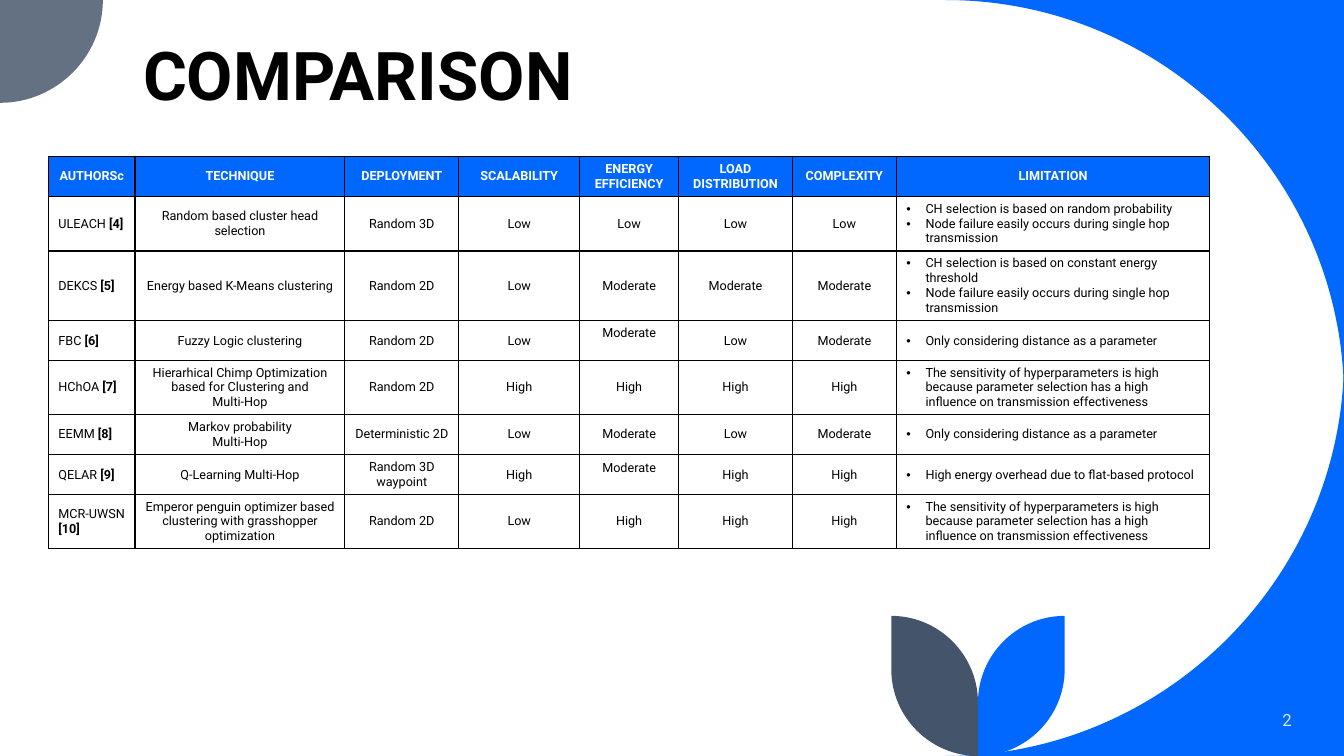
from lxml.etree import SubElement
from pptx import Presentation
from pptx.dml.color import RGBColor
from pptx.enum.text import MSO_ANCHOR, PP_ALIGN
from pptx.oxml.ns import qn
from pptx.util import Inches, Pt

BLUE = RGBColor(0x00, 0x68, 0xFF)
SLATE = RGBColor(0x63, 0x71, 0x83)
NAVY = RGBColor(0x44, 0x54, 0x6A)
PALE = RGBColor(0xDA, 0xE5, 0xEF)
WHITE = RGBColor(0xFF, 0xFF, 0xFF)
BLACK = RGBColor(0x00, 0x00, 0x00)
FONT = "Roboto"
WIDTH, HEIGHT = 13.33, 7.5

COLS = [0.86, 2.08, 1.13, 1.2, 0.98, 1.13, 1.03, 3.11]
ROWS = [0.4, 0.54, 0.69, 0.4, 0.53, 0.4, 0.4, 0.53]
HEADS = ["AUTHORSc", "TECHNIQUE", "DEPLOYMENT", "SCALABILITY",
         "ENERGY\nEFFICIENCY", "LOAD\nDISTRIBUTION", "COMPLEXITY", "LIMITATION"]
HOP = "Node failure easily occurs during single hop transmission"
DISTANCE = "Only considering distance as a parameter"
TUNING = ("The sensitivity of hyperparameters is high because parameter selection "
          "has a high influence on transmission effectiveness")
LOW, MID, HIGH = "Low", "Moderate", "High"
METHODS = [
    ["ULEACH [4]", "Random based cluster head selection", "Random 3D",
     LOW, LOW, LOW, LOW,
     "CH selection is based on random probability\n" + HOP],
    ["DEKCS [5]", "Energy based K-Means clustering", "Random 2D",
     LOW, MID, MID, MID,
     "CH selection is based on constant energy threshold\n" + HOP],
    ["FBC [6]", "Fuzzy Logic clustering", "Random 2D",
     LOW, MID, LOW, MID, DISTANCE],
    ["HChOA [7]", "Hierarhical Chimp Optimization based for Clustering and\nMulti-Hop",
     "Random 2D", HIGH, HIGH, HIGH, HIGH, TUNING],
    ["EEMM [8]", "Markov probability\nMulti-Hop", "Deterministic 2D",
     LOW, MID, LOW, MID, DISTANCE],
    ["QELAR [9]", "Q-Learning Multi-Hop", "Random 3D waypoint",
     HIGH, MID, HIGH, HIGH, "High energy overhead due to flat-based protocol"],
    ["MCR-UWSN [10]",
     "Emperor penguin optimizer based clustering with grasshopper optimization",
     "Random 2D", LOW, HIGH, HIGH, HIGH, TUNING],
]
RAISED = {(3, 4), (6, 4)}  # cells whose text sits half a line higher


def bend(start, corner, end):
    """Two handles and the end of a quarter circle that rounds a corner."""
    handles = [tuple(a + 0.55 * (b - a) for a, b in zip(spot, corner))
               for spot in (start, end)]
    return handles + [end]


def add_curve(slide, start, parts, color):
    """Draw an outline; a part of one point is a line, of three a curve."""
    spots = [tuple(map(Inches, spot)) for part in parts for spot in part]
    pen = slide.shapes.build_freeform(*map(Inches, start))
    pen.add_line_segments(spots, close=True)
    shape = pen.convert_to_shape()
    shape.shadow.inherit = False
    shape.fill.solid()
    shape.fill.fore_color.rgb = color
    shape.line.fill.background()

    # Turn each group of three points into one curve
    lines = iter(list(shape._element.iter(qn("a:lnTo"))))
    for part in parts:
        group = [next(lines) for _ in part]
        if len(group) == 3:
            curve = group[0].makeelement(qn("a:cubicBezTo"))
            group[0].addprevious(curve)
            for line in group:
                curve.append(line[0])
                line.getparent().remove(line)


def add_leaf(slide, side, color):
    """A leaf standing on the stem; side is -1 for left and 1 for right."""
    stem = 9.7
    edge = stem + side * 0.86
    tip, hip = (edge, 6.11), (stem, 6.97)
    foot, rim = (stem, HEIGHT), (edge, 6.64)
    add_curve(slide, tip, [bend(tip, (stem, 6.11), hip), [foot],
                           bend(foot, (edge, HEIGHT), rim)], color)


def style(run, size, color, bold=False):
    run.font.name = FONT
    run.font.size = Pt(size)
    run.font.bold = bold
    run.font.color.rgb = color


def add_label(slide, text, box, size, color, bold, align, anchor):
    frame = slide.shapes.add_textbox(*map(Inches, box)).text_frame
    frame.word_wrap = True
    frame.vertical_anchor = anchor
    frame.text = text
    line = frame.paragraphs[0]
    line.alignment = align
    line.line_spacing = 0.9
    style(line.runs[0], size, color, bold)


def add_edges(cell):
    props = cell._tc.get_or_add_tcPr()
    for n, tag in enumerate(("a:lnL", "a:lnR", "a:lnT", "a:lnB")):
        edge = props.makeelement(qn(tag), {"w": str(Pt(1))})
        fill = SubElement(edge, qn("a:solidFill"))
        SubElement(fill, qn("a:srgbClr"), val=str(BLACK))
        props.insert(n, edge)


def add_bullet(line):
    props = line._p.get_or_add_pPr()
    props.set("marL", str(Inches(0.19)))
    props.set("indent", str(-Inches(0.19)))
    SubElement(props, qn("a:buFont"), typeface="Arial")
    SubElement(props, qn("a:buChar"), char="•")


def fill_cell(cell, text, row, col):
    head = row == 0
    cell.vertical_anchor = MSO_ANCHOR.MIDDLE
    cell.margin_top = Inches(0.03)
    cell.margin_bottom = Inches(0.17 if (row, col) in RAISED else 0.03)
    if head:
        cell.fill.solid()
        cell.fill.fore_color.rgb = BLUE
    else:
        cell.fill.background()
    add_edges(cell)

    cell.text_frame.text = text
    for line in cell.text_frame.paragraphs:
        if head or 0 < col < len(COLS) - 1:
            line.alignment = PP_ALIGN.CENTER
        elif col:
            add_bullet(line)
        else:  # author name, then its reference in bold
            name, _, ref = text.rpartition(" ")
            line.runs[0].text = name + " "
            line.add_run().text = ref
        for n, run in enumerate(line.runs):
            style(run, 9, WHITE if head else BLACK, head or n > 0)


def add_grid(slide):
    frame = slide.shapes.add_table(len(ROWS), len(COLS), Inches(0.48), Inches(1.55),
                                   Inches(sum(COLS)), Inches(sum(ROWS)))
    table = frame.table
    table.first_row = table.horz_banding = False
    for col, width in zip(table.columns, COLS):
        col.width = Inches(width)
    for row, height in zip(table.rows, ROWS):
        row.height = Inches(height)
    for r, texts in enumerate([HEADS] + METHODS):
        for c, text in enumerate(texts):
            fill_cell(table.cell(r, c), text, r, c)


def main():
    deck = Presentation()
    deck.slide_width, deck.slide_height = Inches(WIDTH), Inches(HEIGHT)
    slide = deck.slides.add_slide(deck.slide_layouts[6])

    # Corner curves
    size = 3.95
    for edge, level in ((0, size), (HEIGHT, HEIGHT - size)):
        corner, start, end = (WIDTH, edge), (WIDTH - size, edge), (WIDTH, level)
        add_curve(slide, corner, [[start], bend(start, corner, end)], BLUE)
    right, low = (1.02, 0), (0, 1.02)
    add_curve(slide, (0, 0), [[right], bend(right, (1.02, 1.02), low)], SLATE)

    # Leaves
    add_leaf(slide, 1, BLUE)
    add_leaf(slide, -1, NAVY)

    # Title and page number
    add_label(slide, "COMPARISON", (1.32, 0.32, 10.69, 0.87), 48, BLACK, True,
              PP_ALIGN.LEFT, MSO_ANCHOR.BOTTOM)
    add_label(slide, "2", (11.1, 6.95, 1.81, 0.4), 12, PALE, False,
              PP_ALIGN.RIGHT, MSO_ANCHOR.MIDDLE)

    # Comparison table
    add_grid(slide)
    deck.save("out.pptx")


if __name__ == "__main__":
    main()
